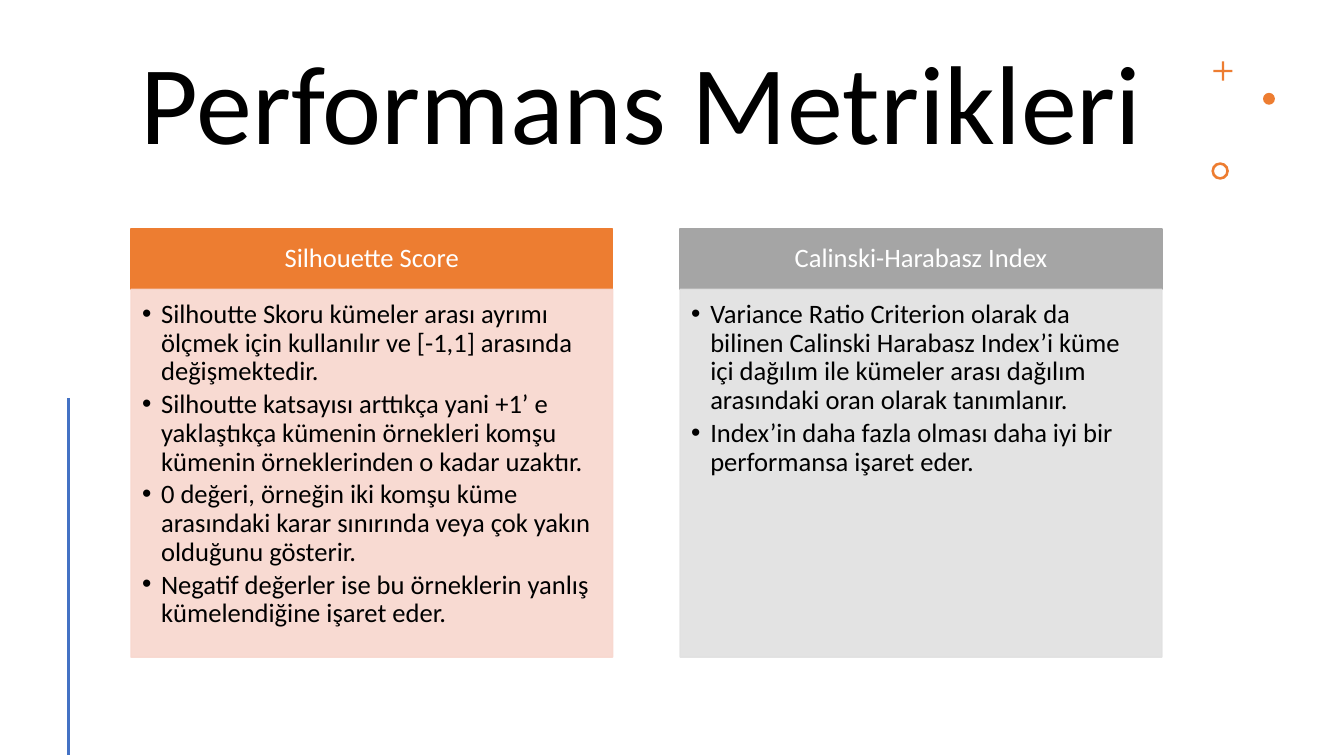
from dataclasses import dataclass

from pptx import Presentation
from pptx.dml.color import RGBColor
from pptx.enum.shapes import MSO_CONNECTOR as Link, MSO_SHAPE as Form
from pptx.enum.text import MSO_ANCHOR as Anchor, MSO_AUTO_SIZE as Fit, PP_ALIGN as Align
from pptx.oxml.ns import qn
from pptx.oxml.xmlchemy import OxmlElement as Node
from pptx.util import Cm, Pt

FONT = "Calibri"
ORANGE, GREY, BLUE = "ED7D31", "A5A5A5", "4472C4"
BLACK, WHITE = "000000", "FFFFFF"


@dataclass
class Box:
    left: float
    top: float
    width: float
    height: float


@dataclass
class Panel:
    head: str
    points: list[str]
    dark: str
    pale: str


@dataclass
class Mark:
    form: Form
    left: float
    top: float
    size: float
    adjust: float | None = None


PANELS = [
    Panel("Silhouette Score", [
        "Silhoutte Skoru kümeler arası ayrımı ölçmek için kullanılır ve [-1,1] arasında değişmektedir.",
        "Silhoutte katsayısı arttıkça yani +1’ e yaklaştıkça kümenin örnekleri komşu kümenin örneklerinden o kadar uzaktır.",
        "0 değeri, örneğin iki komşu küme arasındaki karar sınırında veya çok yakın olduğunu gösterir.",
        "Negatif değerler ise bu örneklerin yanlış kümelendiğine işaret eder.",
    ], ORANGE, "F8D7CE"),
    Panel("Calinski-Harabasz Index", [
        "Variance Ratio Criterion olarak da bilinen Calinski Harabasz Index’i küme içi dağılım ile kümeler arası dağılım arasındaki oran olarak tanımlanır.",
        "Index’in daha fazla olması daha iyi bir performansa işaret eder.",
    ], GREY, "E1E1E1"),
]
MARKS = [
    Mark(Form.CROSS, 30.58, 1.55, 0.48, 0.44),
    Mark(Form.OVAL, 31.83, 2.34, 0.3),
    Mark(Form.DONUT, 30.53, 4.09, 0.44, 0.15),
]
LEFT, STEP, WIDTH = 3.3, 13.84, 12.14
TOP, HEAD, BODY = 5.77, 1.52, 9.27


def tint(color, code: str) -> None:
    color.rgb = RGBColor.from_string(code)


def place(shape, box: Box) -> None:
    shape.left, shape.top = Cm(box.left), Cm(box.top)
    shape.width, shape.height = Cm(box.width), Cm(box.height)


def paint(shape, code: str, alpha: int = 100) -> None:
    shape.fill.solid()
    tint(shape.fill.fore_color, code)
    shape.line.width = Pt(1)
    tint(shape.line.color, code)
    if alpha < 100:
        for clr in shape._element.spPr.iter(qn("a:srgbClr")):
            node = Node("a:alpha")
            node.set("val", str(alpha * 1000))
            clr.append(node)


def set_frame(shape, anchor: Anchor, pads: tuple[float, ...]):
    frame = shape.text_frame
    frame.word_wrap = True
    frame.auto_size = Fit.NONE
    frame.vertical_anchor = anchor
    frame.margin_left, frame.margin_top, frame.margin_right, frame.margin_bottom = map(Cm, pads)
    return frame


def write(para, text: str, size: float, code: str, align: Align) -> None:
    para.alignment = align
    para.line_spacing = 0.9
    para.space_before = Pt(0)
    run = para.add_run()
    run.text = text
    run.font.name, run.font.size, run.font.bold = FONT, Pt(size), False
    tint(run.font.color, code)


def add_bullet(para) -> None:
    para.space_after = Pt(2.85)
    props = para._p.get_or_add_pPr()
    props.set("marL", str(Cm(0.48)))
    props.set("indent", str(Cm(-0.48)))
    char = Node("a:buChar")
    char.set("char", "•")
    props.append(char)


def draw_panel(head, body, panel: Panel, left: float) -> None:
    place(head, Box(left, TOP, WIDTH, HEAD))
    paint(head, panel.dark)
    frame = set_frame(head, Anchor.MIDDLE, (0.38, 0.2, 0.38, 0.2))
    write(frame.paragraphs[0], panel.head, 19, WHITE, Align.CENTER)

    place(body, Box(left, TOP + HEAD, WIDTH, BODY))
    paint(body, panel.pale, 90)
    frame = set_frame(body, Anchor.TOP, (0.28, 0.28, 0.38, 0.43))
    for i, point in enumerate(panel.points):
        para = frame.add_paragraph() if i else frame.paragraphs[0]
        write(para, point, 19, BLACK, Align.LEFT)
        add_bullet(para)


def draw_mark(shapes, mark: Mark) -> None:
    shape = shapes.add_shape(mark.form, Cm(mark.left), Cm(mark.top), Cm(mark.size), Cm(mark.size))
    shape.shadow.inherit = False
    shape.fill.solid()
    tint(shape.fill.fore_color, ORANGE)
    shape.line.fill.background()
    if mark.adjust is not None:
        shape.adjustments[0] = mark.adjust


def main() -> None:
    deck = Presentation()
    deck.slide_width, deck.slide_height = Cm(33.87), Cm(19.05)
    slide = deck.slides.add_slide(deck.slide_layouts.get_by_name("Comparison"))
    shapes = slide.shapes

    # Title
    title = shapes.title
    place(title, Box(LEFT, 1.07, 25.98, 3.33))
    frame = set_frame(title, Anchor.MIDDLE, (0.25, 0.13, 0.25, 0.13))
    write(frame.paragraphs[0], "Performans Metrikleri", 80, BLACK, Align.LEFT)

    # Corner marks and side line
    for mark in MARKS:
        draw_mark(shapes, mark)
    line = shapes.add_connector(Link.STRAIGHT, Cm(1.73), Cm(10.03), Cm(1.73), Cm(19.03))
    line.line.width = Pt(2)
    tint(line.line.color, BLUE)
    line._element.spPr.append(Node("a:effectLst"))

    # Metric panels
    holders = {item.placeholder_format.idx: item for item in slide.placeholders}
    for i, panel in enumerate(PANELS):
        draw_panel(holders[2 * i + 1], holders[2 * i + 2], panel, LEFT + i * STEP)

    # Unused placeholders
    for item in list(slide.placeholders):
        if not item.text_frame.text:
            item._element.getparent().remove(item._element)

    deck.save("out.pptx")


if __name__ == "__main__":
    main()
